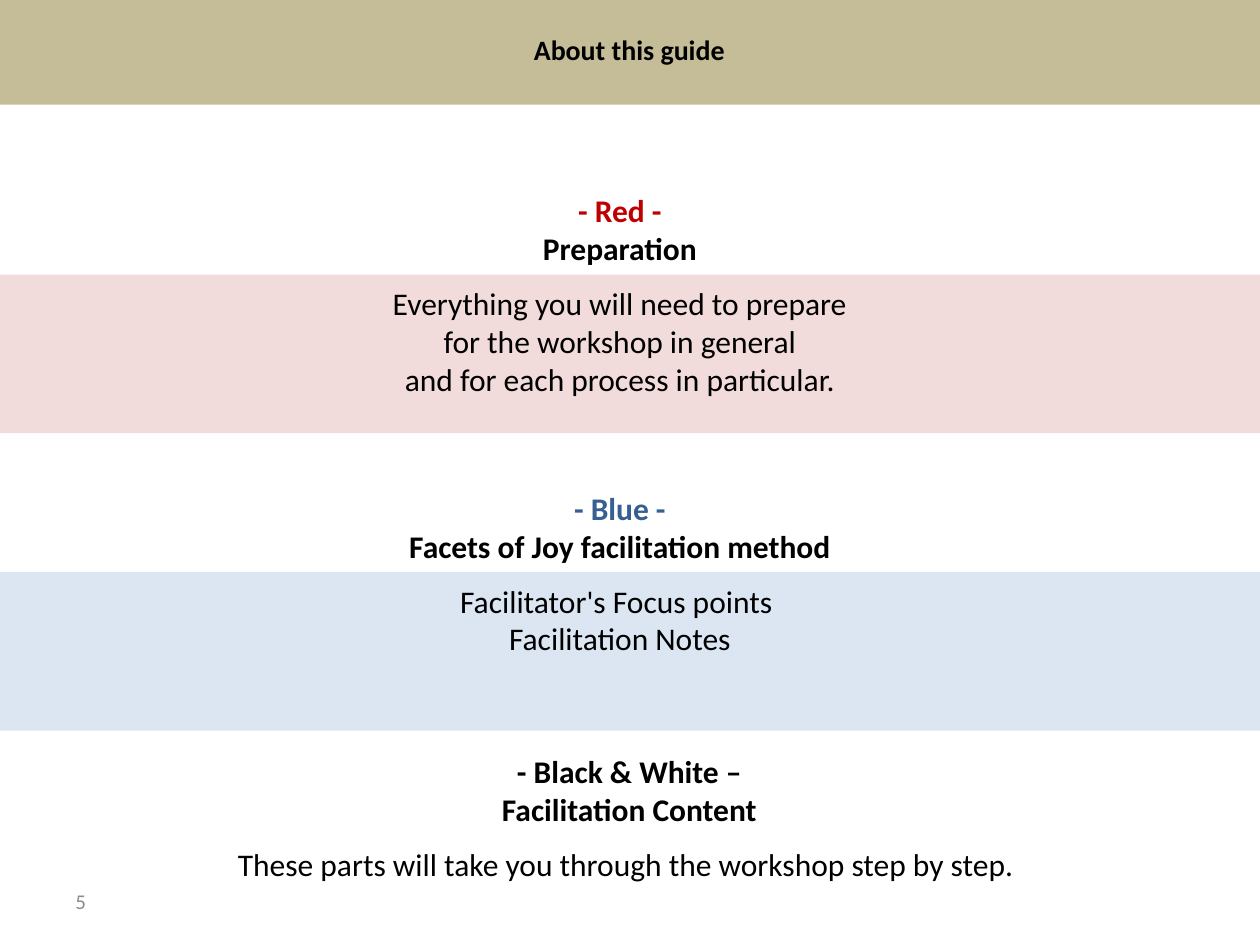
from pptx import Presentation
from pptx.dml.color import RGBColor
from pptx.enum.shapes import MSO_SHAPE
from pptx.enum.text import MSO_ANCHOR, PP_ALIGN
from pptx.util import Pt

RECT = MSO_SHAPE.RECTANGLE
TOP, MIDDLE = MSO_ANCHOR.TOP, MSO_ANCHOR.MIDDLE
LEFT, CENTER = PP_ALIGN.LEFT, PP_ALIGN.CENTER

BLACK = RGBColor(0x00, 0x00, 0x00)
GRAY = RGBColor(0x8C, 0x8C, 0x8C)
TAN = RGBColor(0xC4, 0xBD, 0x97)
RED = RGBColor(0xC0, 0x00, 0x00)
PINK = RGBColor(0xF2, 0xDC, 0xDB)
BLUE = RGBColor(0x37, 0x60, 0x92)
PALE = RGBColor(0xDC, 0xE6, 0xF2)

WIDTH, HEIGHT = 720, 540
BAND = 90.7
DROP = 51.1
GAP = 9.8


def style(para, size, color=BLACK, bold=False, align=CENTER):
    para.alignment = align
    font = para.font
    font.name = "Calibri"
    font.size = Pt(size)
    font.bold = bold
    font.color.rgb = color


def add_band(slide, top, height, color):
    band = slide.shapes.add_shape(RECT, Pt(0), Pt(top), Pt(WIDTH), Pt(height))
    band.shadow.inherit = False
    band.fill.solid()
    band.fill.fore_color.rgb = color
    band.line.fill.background()
    return band


def add_title(slide, box, text):
    band = add_band(slide, 0, 59.8, TAN)
    title = slide.shapes.title
    title.left, title.top, title.width, title.height = map(Pt, box)
    band.element.addnext(title.element)
    frame = title.text_frame
    frame.text = text
    frame.vertical_anchor = TOP
    style(frame.paragraphs[0], 16, bold=True)


def add_part(slide, box, heads, lines, color=BLACK, anchor=TOP, wrap=True):
    frame = slide.shapes.add_textbox(*map(Pt, box)).text_frame
    frame.word_wrap = wrap
    frame.vertical_anchor = anchor
    frame.text = "\n".join(heads + lines)
    for i, para in enumerate(frame.paragraphs):
        style(para, 18, BLACK if i else color, i < len(heads))
    frame.paragraphs[len(heads)].space_before = Pt(GAP)


def add_banded(slide, box, heads, lines, color, fill):
    add_band(slide, box[1] + DROP, BAND, fill)
    add_part(slide, box, heads, lines, color)


def add_number(slide, box, text):
    frame = slide.shapes.add_textbox(*map(Pt, box)).text_frame
    frame.word_wrap = True
    frame.vertical_anchor = MIDDLE
    frame.text = text
    style(frame.paragraphs[0], 12, GRAY, align=LEFT)


def main():
    deck = Presentation()
    deck.slide_width, deck.slide_height = Pt(WIDTH), Pt(HEIGHT)
    slide = deck.slides.add_slide(deck.slide_layouts[5])
    add_title(slide, (0, 15.1, 719.3, 26.6), "About this guide")
    add_banded(slide, (42.5, 105.8, 623.5, 126),
               ["- Red -", "Preparation"],
               ["Everything you will need to prepare",
                "for the workshop in general",
                "and for each process in particular."], RED, PINK)
    add_banded(slide, (42.5, 275.8, 623.5, 104.4),
               ["- Blue -", "Facets of Joy facilitation method"],
               ["Facilitator's Focus points ", "Facilitation Notes"],
               BLUE, PALE)
    add_part(slide, (114.5, 426.2, 490.3, 82.1),
             ["- Black & White –", "Facilitation Content"],
             ["These parts will take you through the workshop step by step. "],
             anchor=MIDDLE, wrap=False)
    add_number(slide, (36, 500.4, 168, 28.8), "5")
    deck.save("out.pptx")


if __name__ == "__main__":
    main()
